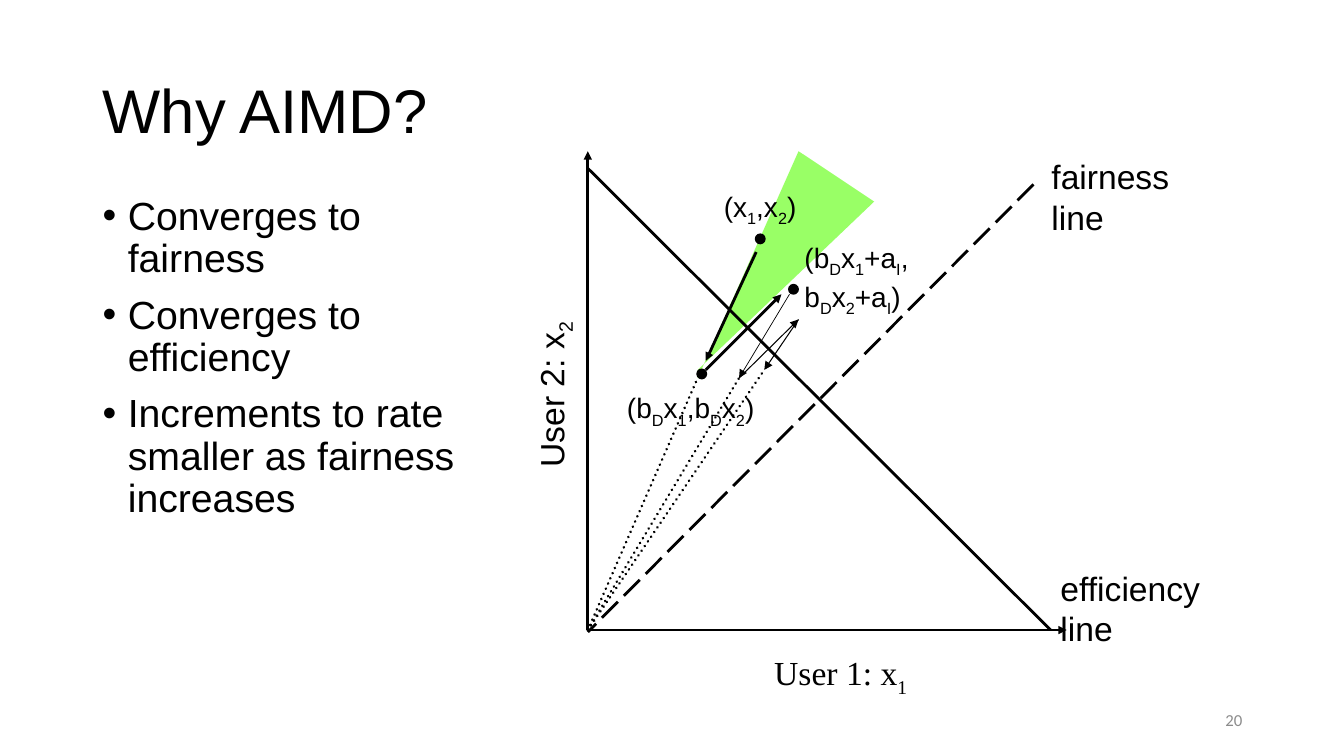
from lxml import etree
from pptx import Presentation
from pptx import util as u
from pptx.dml import color
from pptx.enum import dml, shapes, text
from pptx.oxml import ns

COLORS = {"ink": "000000", "cone": "99FF66", "number": "8C8C8C"}
ORIGIN = (5.83, 6.25)
DASH = dml.MSO_LINE.LONG_DASH
DOT = dml.MSO_LINE.ROUND_DOT


class SlideBuilder:
    """Draws styled elements on one slide."""

    def __init__(self, slide, font="Arial"):
        self.slide = slide
        self.font = font

    def rgb(self, name):
        return color.RGBColor.from_string(COLORS[name])

    def style(self, paragraph, size, font=None, ink="ink"):
        for run in paragraph.runs:
            run.font.name = font or self.font
            run.font.size = u.Pt(size)
            run.font.color.rgb = self.rgb(ink)

    def frame(self, left, top, width, height, wrap=False):
        shape = self.slide.shapes.add_textbox(*map(u.Inches, (left, top, width, height)))
        shape.text_frame.word_wrap = wrap
        return shape

    def line_of_text(self, box, words, size, ink="ink", font=None, align=None):
        text_frame = self.frame(*box, wrap=True).text_frame
        text_frame.vertical_anchor = text.MSO_ANCHOR.MIDDLE
        text_frame.text = words
        paragraph = text_frame.paragraphs[0]
        paragraph.alignment = align
        paragraph.line_spacing = 0.9
        self.style(paragraph, size, font, ink)

    def bullets(self, box, items, size):
        text_frame = self.frame(*box, wrap=True).text_frame
        text_frame.text = "\n".join(items)
        for index, paragraph in enumerate(text_frame.paragraphs):
            paragraph.line_spacing = 0.9
            paragraph.space_before = u.Pt(10 if index else 0)
            properties = paragraph._p.get_or_add_pPr()
            properties.set("marL", str(u.Inches(0.25)))
            properties.set("indent", str(u.Inches(-0.25)))
            etree.SubElement(properties, ns.qn("a:buFont")).set("typeface", "Arial")
            etree.SubElement(properties, ns.qn("a:buChar")).set("char", "•")
            self.style(paragraph, size)

    def label(self, box, words, size, font=None, rotation=0):
        """Writes words, lowering each letter that follows an underscore."""
        shape = self.frame(*box)
        shape.rotation = rotation
        for index, line in enumerate(words.split("\n")):
            text_frame = shape.text_frame
            paragraph = text_frame.add_paragraph() if index else text_frame.paragraphs[0]
            start, *pieces = line.split("_")
            paragraph.add_run().text = start
            for piece in pieces:
                subscript = paragraph.add_run()
                subscript.text = piece[0]
                subscript._r.get_or_add_rPr().set("baseline", "-25000")
                if piece[1:]:
                    paragraph.add_run().text = piece[1:]
            self.style(paragraph, size, font)

    def line(self, start, end, width=2, dash=None, arrow=False):
        connector = self.slide.shapes.add_connector(
            shapes.MSO_CONNECTOR.STRAIGHT, *map(u.Inches, start + end))
        connector.line.width = u.Pt(width)
        connector.line.color.rgb = self.rgb("ink")
        outline = connector.line._get_or_add_ln()
        if dash:
            connector.line.dash_style = dash
        if dash == DOT:
            outline.set("cap", "rnd")
        if arrow:
            etree.SubElement(outline, ns.qn("a:tailEnd")).set("type", "triangle")
        etree.SubElement(connector._element.spPr, ns.qn("a:effectLst"))

    def dot(self, left, top, size=0.08):
        shape = self.slide.shapes.add_shape(
            shapes.MSO_SHAPE.OVAL, *map(u.Inches, (left, top, size, size)))
        shape.shadow.inherit = False
        shape.fill.solid()
        shape.fill.fore_color.rgb = self.rgb("ink")
        shape.line.color.rgb = self.rgb("ink")
        shape.line.width = u.Pt(2)

    def polygon(self, points, fill):
        start, *others = [tuple(map(u.Inches, point)) for point in points]
        builder = self.slide.shapes.build_freeform(*start)
        builder.add_line_segments(others, close=True)
        shape = builder.convert_to_shape()
        shape.shadow.inherit = False
        shape.fill.solid()
        shape.fill.fore_color.rgb = self.rgb(fill)
        shape.line.fill.background()


def main():
    presentation = Presentation()
    presentation.slide_width = u.Inches(13.33)
    presentation.slide_height = u.Inches(7.5)
    page = SlideBuilder(presentation.slides.add_slide(presentation.slide_layouts[6]))

    page.line_of_text((0.92, 0.4, 11.5, 1.45), "Why AIMD?", 44)
    page.line_of_text((9.42, 6.95, 3, 0.4), "20", 12, "number", "Calibri", text.PP_ALIGN.RIGHT)
    page.bullets((0.92, 1.9, 4.1, 4.67), [
        "Converges to fairness",
        "Converges to efficiency",
        "Increments to rate smaller as fairness increases",
    ], 28)

    page.polygon([(6.92, 3.67), (8.67, 2), (7.92, 1.5), (6.92, 3.75)], "cone")

    for axis_end in [(5.83, 1.5), (10.58, 6.25)]:
        page.line(ORIGIN, axis_end, arrow=True)
    page.line((10.25, 1.83), (5.83, 6.27), dash=DASH)
    page.line((5.83, 1.67), (10.42, 6.25))

    for decreased in [(6.92, 3.75), (7.33, 3.75), (7.58, 3.67)]:
        page.line(ORIGIN, decreased, dash=DOT)
    for start, end, width in [
        ((7.5, 2.5), (7, 3.58), 2),
        ((7, 3.67), (7.75, 2.92), 2),
        ((7.83, 2.92), (7.33, 3.75), 0.5),
        ((7.33, 3.75), (7.92, 3.17), 0.75),
        ((7.92, 3.17), (7.58, 3.67), 0.75),
    ]:
        page.line(start, end, width, arrow=True)
    for left, top in [(7.5, 2.33), (6.92, 3.67), (7.83, 2.83)]:
        page.dot(left, top)

    page.label((7.08, 1.83, 0.95, 0.43), "(x_1,x_2)", 20)
    page.label((6.12, 3.83, 1.53, 0.43), "(b_Dx_1,b_Dx_2)", 20)
    page.label((7.88, 2.34, 1.28, 0.77), "(b_Dx_1+a_I,\nb_Dx_2+a_I)", 20)
    page.label((10.33, 1.5, 1.38, 0.91), "fairness\nline", 24)
    page.label((10.42, 5.58, 1.6, 0.91), "efficiency\nline", 24)
    page.label((7.58, 6.42, 1.55, 0.5), "User 1: x_1", 24, font="Times New Roman")
    page.label((4.63, 3.65, 1.67, 0.5), "User 2: x_2", 24, rotation=270)

    presentation.save("out.pptx")


if __name__ == "__main__":
    main()
